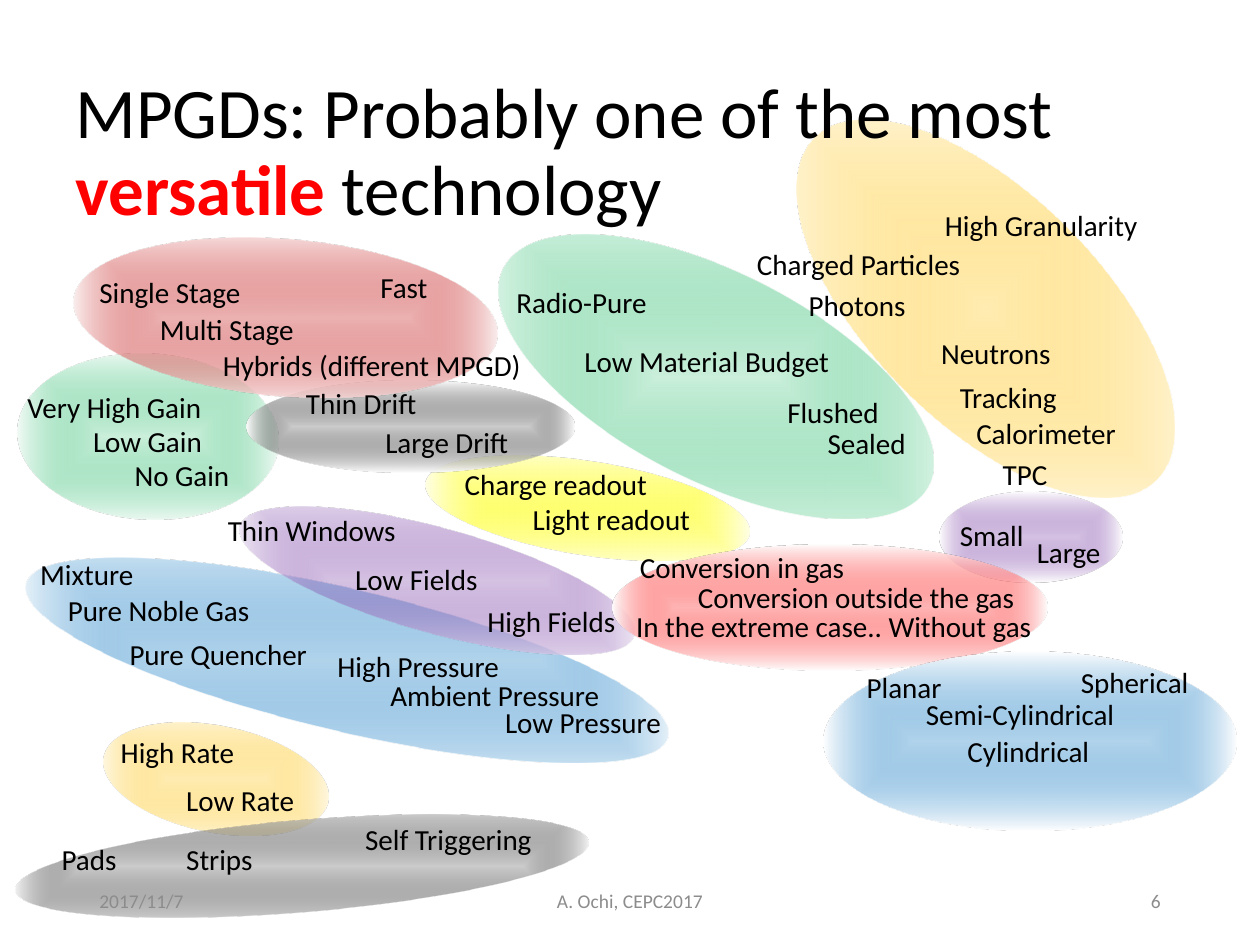
from pptx import Presentation
from pptx.dml.color import RGBColor
from pptx.enum.shapes import MSO_SHAPE
from pptx.enum.text import MSO_ANCHOR, MSO_AUTO_SIZE, PP_ALIGN
from pptx.oxml import parse_xml
from pptx.oxml.ns import nsdecls
from pptx.util import Inches, Pt

COLORS = {
    "text": "000000", "accent": "FF0000", "footer": "8C8C8C", "fade": "FFFFFF",
    "gold": "FFC000", "black": "000000", "blue": "0070C0", "purple": "7030A0",
    "green": "00B050", "yellow": "FFFF00", "maroon": "C00000", "red": "FF0000",
}
OPACITY = {"gold": 30, "black": 20, "blue": 30, "purple": 29, "green": 20,
           "yellow": 55, "maroon": 30, "red": 29}

ELLIPSES = [
    ("gold", 0.81, 5.76, 1.81, 0.84, 11.1),
    ("black", 0.12, 6.51, 4.56, 0.73, 355.2),
    ("blue", 0.14, 4.68, 5.23, 1.12, 13.3),
    ("purple", 1.85, 4.19, 3.24, 0.83, 15.4),
    ("green", 0.14, 2.81, 2.07, 1.31, 3.2),
    ("yellow", 3.36, 3.66, 2.6, 0.74, 8.8),
    ("black", 1.96, 3.02, 2.6, 0.73, 0),
    ("maroon", 0.58, 1.9, 3.37, 1.24, 4.8),
    ("purple", 7.46, 3.9, 1.45, 0.72, 0),
    ("red", 4.86, 4.32, 3.45, 1, 0),
    ("blue", 6.54, 5.17, 3.27, 1.42, 0),
    ("green", 3.79, 2.17, 3.78, 1.64, 26.9),
    ("gold", 5.91, 1.54, 3.83, 1.82, 45),
]

LABELS = [
    ("Single Stage", 0.69, 2.13, 1.34),
    ("Multi Stage", 1.17, 2.42, 1.28),
    ("Thin Drift", 2.33, 3.01, 1.1),
    ("Large Drift", 2.96, 3.32, 1.25),
    ("Charge readout", 3.59, 3.65, 1.67),
    ("Light readout", 4.13, 3.93, 1.47),
    ("Conversion in gas", 4.98, 4.31, 1.85),
    ("Conversion outside the gas", 5.44, 4.55, 2.75),
    ("Hybrids (different MPGD)", 1.67, 2.71, 2.6),
    ("In the extreme case.. Without gas", 4.95, 4.78, 3.38),
    ("Flushed", 6.15, 3.08, 0.94),
    ("Sealed", 6.47, 3.33, 0.83),
    ("Mixture", 0.22, 4.37, 0.95),
    ("Pure Noble Gas", 0.44, 4.65, 1.66),
    ("Pure Quencher", 0.93, 5, 1.63),
    ("High Pressure", 2.58, 5.1, 1.5),
    ("Ambient Pressure", 3, 5.33, 1.88),
    ("Low Pressure", 3.91, 5.54, 1.45),
    ("Charged Particles", 5.91, 1.91, 1.84),
    ("Photons", 6.32, 2.23, 0.98),
    ("Neutrons", 7.37, 2.61, 1.08),
    ("Tracking", 7.52, 2.96, 0.98),
    ("Calorimeter", 7.65, 3.25, 1.32),
    ("TPC", 7.86, 3.57, 0.56),
    ("Small", 7.52, 4.06, 0.72),
    ("Large", 8.13, 4.19, 0.71),
    ("Planar", 6.78, 5.26, 0.81),
    ("Semi-Cylindrical", 7.25, 5.48, 1.72),
    ("Cylindrical", 7.58, 5.77, 1.18),
    ("Spherical", 8.48, 5.22, 1.07),
    ("Low Gain", 0.64, 3.31, 1.08),
    ("Very High Gain", 0.12, 3.04, 1.6),
    ("High Granularity", 7.4, 1.6, 1.75),
    ("Fast", 2.92, 2.09, 0.58),
    ("High Rate", 0.86, 5.78, 1.12),
    ("Low Rate", 1.38, 6.16, 1.07),
    ("Low Material Budget", 4.54, 2.68, 2.17),
    ("Radio-Pure", 4, 2.21, 1.25),
    ("Thin Windows", 1.71, 4.02, 1.55),
    ("Low Fields", 2.72, 4.41, 1.19),
    ("High Fields", 3.77, 4.74, 1.23),
    ("Pads", 0.39, 6.63, 0.64),
    ("Strips", 1.38, 6.63, 0.74),
    ("Self Triggering", 2.8, 6.47, 1.54),
    ("No Gain", 0.97, 3.58, 0.96),
]

FOOTERS = [
    ("2017/11/7", 0.69, 2.25, PP_ALIGN.LEFT),
    ("A. Ochi, CEPC2017", 3.31, 3.38, PP_ALIGN.CENTER),
    ("6", 7.06, 2.25, PP_ALIGN.RIGHT),
]


class SlideBuilder:
    font_name = "Calibri"

    def __init__(self, s):
        self.s = s

    def ellipse(self, color, x, y, w, h, angle):
        sp = self.s.shapes.add_shape(
            MSO_SHAPE.OVAL, Inches(x), Inches(y), Inches(w), Inches(h))
        sp.rotation = angle
        sp.shadow.inherit = False
        sp.line.fill.background()
        fade = f'<a:gs pos="100000"><a:srgbClr val="{COLORS["fade"]}"/></a:gs>'
        sp._element.spPr.prstGeom.addnext(parse_xml(
            f'<a:gradFill {nsdecls("a")} rotWithShape="1"><a:gsLst>'
            f'<a:gs pos="0"><a:srgbClr val="{COLORS[color]}">'
            f'<a:alpha val="{OPACITY[color] * 1000}"/></a:srgbClr></a:gs>'
            f'{fade * 2}</a:gsLst><a:path path="shape">'
            '<a:fillToRect l="50000" t="50000" r="50000" b="50000"/>'
            '</a:path></a:gradFill>'))

    def text(self, runs, x, y, w, h, size, frame, paragraph):
        tf = self.s.shapes.add_textbox(
            Inches(x), Inches(y), Inches(w), Inches(h)).text_frame
        p = tf.paragraphs[0]
        for target, values in ((tf, frame), (p, paragraph)):
            for name, value in values.items():
                setattr(target, name, value)
        for words, color, bold in runs:
            r = p.add_run()
            r.text = words
            font = {"name": self.font_name, "size": Pt(size), "bold": bold}
            for name, value in font.items():
                setattr(r.font, name, value)
            r.font.color.rgb = RGBColor.from_string(COLORS[color])

    def title(self, runs):
        self.text(runs, 0.5, 0.55, 8.62, 1.34, 40.6,
                  {"word_wrap": True, "vertical_anchor": MSO_ANCHOR.MIDDLE},
                  {"line_spacing": 0.9})

    def label(self, words, x, y, w):
        self.text([(words, "text", False)], x, y, w, 0.38, 16.6,
                  {"word_wrap": False,
                   "auto_size": MSO_AUTO_SIZE.SHAPE_TO_FIT_TEXT}, {})

    def footer(self, words, x, w, align):
        self.text([(words, "footer", False)], x, 6.95, w, 0.4, 11.1,
                  {"word_wrap": True, "vertical_anchor": MSO_ANCHOR.MIDDLE},
                  {"alignment": align})


def main():
    prs = Presentation()
    prs.slide_width, prs.slide_height = Inches(10), Inches(7.5)
    builder = SlideBuilder(prs.slides.add_slide(prs.slide_layouts[6]))
    for ellipse in ELLIPSES:
        builder.ellipse(*ellipse)
    builder.title([("MPGDs: Probably one of the most ", "text", False),
                   ("versatile", "accent", True),
                   (" technology", "text", False)])
    for label in LABELS:
        builder.label(*label)
    for footer in FOOTERS:
        builder.footer(*footer)
    prs.save("out.pptx")


if __name__ == "__main__":
    main()
